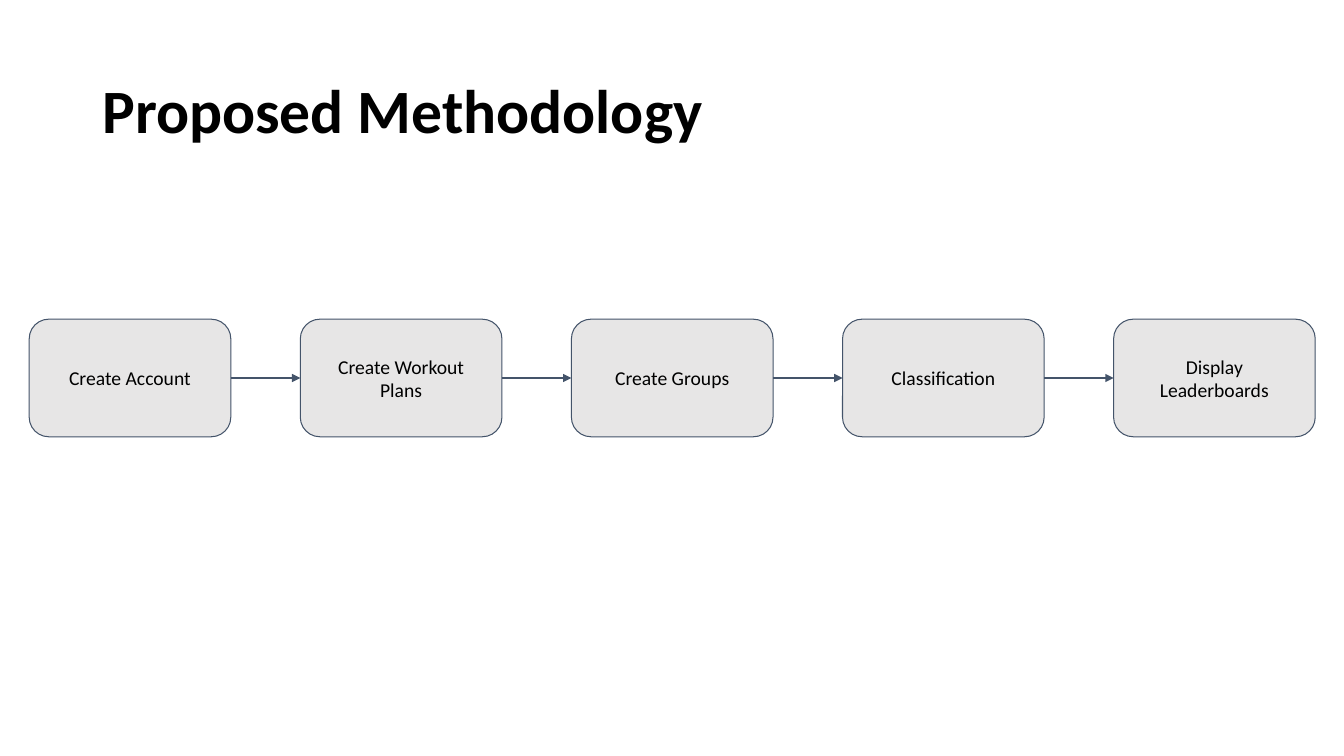
from pptx import Presentation
from pptx.dml.color import RGBColor
from pptx.enum.shapes import MSO_CONNECTOR, MSO_SHAPE
from pptx.enum.text import MSO_ANCHOR, PP_ALIGN
from pptx.oxml.ns import qn
from pptx.util import Pt
from lxml.etree import SubElement

COLORS = {"text": "000000", "box": "E7E6E6", "line": "44546A"}
STEPS = ["Create Account", "Create Workout Plans", "Create Groups",
         "Classification", "Display Leaderboards"]
LEFT, TOP, WIDTH, HEIGHT, PITCH = 20.9, 228, 144, 84, 193.65


def color(name):
    return RGBColor.from_string(COLORS[name])


def write(shape, text, size, inset, bold=False):
    frame = shape.text_frame
    frame.word_wrap = True
    frame.vertical_anchor = MSO_ANCHOR.MIDDLE
    frame.margin_left = frame.margin_right = Pt(7.2)
    frame.margin_top = frame.margin_bottom = Pt(inset)
    para = frame.paragraphs[0]
    span = para.add_run()
    span.text = text
    span.font.name = "Calibri"
    span.font.size = Pt(size)
    span.font.bold = bold
    span.font.color.rgb = color("text")
    return para


deck = Presentation()
deck.slide_width, deck.slide_height = Pt(960), Pt(540)
page = deck.slides.add_slide(deck.slide_layouts[6])

# Title
title = page.shapes.add_textbox(Pt(66), Pt(28.75), Pt(828), Pt(104.4))
write(title, "Proposed Methodology", 44, 3.6, bold=True).line_spacing = 0.9

# Step boxes
boxes = []
for index, step in enumerate(STEPS):
    box = page.shapes.add_shape(MSO_SHAPE.ROUNDED_RECTANGLE, Pt(LEFT + index * PITCH),
                                Pt(TOP), Pt(WIDTH), Pt(HEIGHT))
    box.shadow.inherit = False
    box.fill.solid()
    box.fill.fore_color.rgb = color("box")
    box.line.color.rgb = color("line")
    box.line.width = Pt(0.75)
    write(box, step, 14, 7.2).alignment = PP_ALIGN.CENTER
    boxes.append(box)

# Arrows between neighbouring steps
for before, after in zip(boxes, boxes[1:]):
    arrow = page.shapes.add_connector(MSO_CONNECTOR.STRAIGHT, Pt(0), Pt(0), Pt(0), Pt(0))
    arrow.begin_connect(before, 3)
    arrow.end_connect(after, 1)
    arrow.line.color.rgb = color("line")
    arrow.line.width = Pt(0.75)
    SubElement(arrow.line._get_or_add_ln(), qn("a:tailEnd"), type="triangle")
    SubElement(arrow._element.spPr, qn("a:effectLst"))

deck.save("out.pptx")
